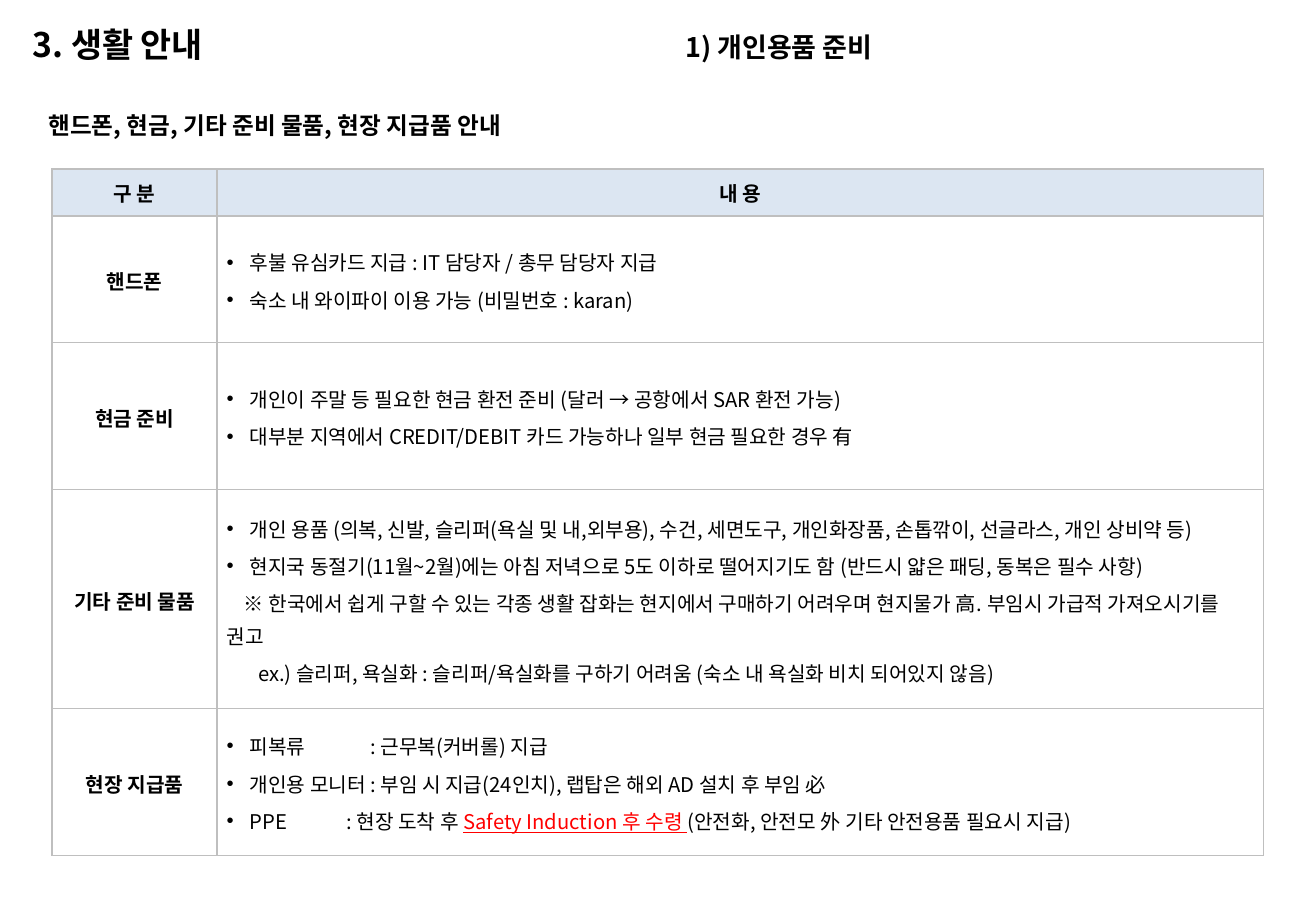
"""Build the slide on personal items to prepare for life on site."""
import pptx
import pptx.util
import pptx.enum.text
import pptx.oxml
import pptx.oxml.ns
import pptx.dml.color
from lxml import etree

Cm = pptx.util.Cm
Pt = pptx.util.Pt
qn = pptx.oxml.ns.qn
ALIGN = pptx.enum.text.PP_ALIGN
ANCHOR = pptx.enum.text.MSO_ANCHOR
FONT = "Noto Sans CJK KR"
COLORS = {"text": "000000", "alert": "FF0000", "head": "DCE6F2", "line": "BFBFBF"}


def style(par, size, bold):
    """Format every run of a paragraph."""
    for run in par.runs:
        run.font.size = Pt(size)
        run.font.bold = bold
        run.font.name = FONT
        run.font.color.rgb = pptx.dml.color.RGBColor.from_string(COLORS["text"])
        etree.SubElement(run.font._element, qn("a:ea"), typeface=FONT)


def border(cell):
    """Draw thin grey lines on all four sides of a cell."""
    props = cell._tc.get_or_add_tcPr()
    for spot, side in enumerate(("lnL", "lnR", "lnT", "lnB")):
        line = etree.Element(qn("a:" + side), w=str(Pt(1)))
        fill = etree.SubElement(line, qn("a:solidFill"))
        etree.SubElement(fill, qn("a:srgbClr"), val=COLORS["line"])
        props.insert(spot, line)


prs = pptx.Presentation()
prs.slide_width, prs.slide_height = Cm(27.51), Cm(19.05)
slide = prs.slides.add_slide(prs.slide_layouts[6])

titles = [
    ("핸드폰, 현금, 기타 준비 물품, 현장 지급품 안내", 14, 0.76, 1.95, 25.98, 2.03, 1.3, ANCHOR.TOP),
    ("3. 생활 안내", 20, 0.43, 0.32, 13.31, 1.19, 1.0, ANCHOR.MIDDLE),
    ("1) 개인용품 준비", 16, 14.08, 0.45, 12.67, 1.04, 1.0, ANCHOR.MIDDLE),
]
for text, size, left, top, width, height, space, anchor in titles:
    box = slide.shapes.add_textbox(Cm(left), Cm(top), Cm(width), Cm(height))
    frame = box.text_frame
    frame.word_wrap = True
    frame.vertical_anchor = anchor
    frame.margin_top = frame.margin_bottom = Cm(0.2 if anchor == ANCHOR.TOP else 0.13)
    frame.text = text
    frame.paragraphs[0].line_spacing = space
    style(frame.paragraphs[0], size, True)

BULLET = 0.48
rows = [
    ("구 분", 0.99, [("내 용", 0)]),
    ("핸드폰", 2.64, [
        ("후불 유심카드 지급 : IT 담당자 / 총무 담당자 지급", BULLET),
        ("숙소 내 와이파이 이용 가능 (비밀번호 : karan)", BULLET),
    ]),
    ("현금 준비", 3.08, [
        ("개인이 주말 등 필요한 현금 환전 준비 (달러 → 공항에서 SAR 환전 가능)", BULLET),
        ("대부분 지역에서 CREDIT/DEBIT 카드 가능하나 일부 현금 필요한 경우 有", BULLET),
    ]),
    ("기타 준비 물품", 4.57, [
        ("개인 용품 (의복, 신발, 슬리퍼(욕실 및 내,외부용), 수건, 세면도구, "
         "개인화장품, 손톱깎이, 선글라스, 개인 상비약 등)", BULLET),
        ("현지국 동절기(11월~2월)에는 아침 저녁으로 5도 이하로 떨어지기도 함 "
         "(반드시 얇은 패딩, 동복은 필수 사항)", BULLET),
        ("※ 한국에서 쉽게 구할 수 있는 각종 생활 잡화는 현지에서 구매하기 어려우며 "
         "현지물가 高. 부임시 가급적 가져오시기를 권고", 0.36),
        ("ex.) 슬리퍼, 욕실화 : 슬리퍼/욕실화를 구하기 어려움 "
         "(숙소 내 욕실화 비치 되어있지 않음)", 0.66),
    ]),
    ("현장 지급품", 3.08, [
        ("피복류\t: 근무복(커버롤) 지급", BULLET),
        ("개인용 모니터\t: 부임 시 지급(24인치), 랩탑은 해외 AD 설치 후 부임 必", BULLET),
        ("PPE\t: 현장 도착 후 |Safety Induction 후 수령 |"
         "(안전화, 안전모 外 기타 안전용품 필요시 지급)", BULLET),
    ]),
]

total = sum(height for label, height, lines in rows)
grid = slide.shapes.add_table(len(rows), 2, Cm(1.09), Cm(3.53), Cm(25.32), Cm(total)).table
grid.horz_banding = False
grid.columns[0].width, grid.columns[1].width = Cm(3.45), Cm(21.87)

for index, (label, height, lines) in enumerate(rows):
    grid.rows[index].height = Cm(height)
    head = index == 0
    for col, items in enumerate(([(label, 0)], lines)):
        cell = grid.cell(index, col)
        cell.vertical_anchor = ANCHOR.MIDDLE
        cell.margin_left = cell.margin_right = Cm(0.1 if head else 0.2)
        cell.margin_top = cell.margin_bottom = Cm(0.1)
        if head:
            cell.fill.solid()
            cell.fill.fore_color.rgb = pptx.dml.color.RGBColor.from_string(COLORS["head"])
        else:
            cell.fill.background()
        border(cell)
        cell.text_frame.text = "\n".join(text.split("|")[0] for text, indent in items)
        for par, (text, indent) in zip(cell.text_frame.paragraphs, items):
            for part in text.split("|")[1:]:
                par.add_run().text = part
            style(par, 12, head or col == 0)
            if len(par.runs) > 1:
                alert = par.runs[1].font
                alert.underline = True
                alert.color.rgb = pptx.dml.color.RGBColor.from_string(COLORS["alert"])
            if not head:
                par.line_spacing = 1.1
                par.space_after = Pt(3)
            if head or col == 0:
                par.alignment = ALIGN.CENTER
                continue
            props = par._p.get_or_add_pPr()
            props.set("marL", str(Cm(indent) if indent == BULLET else 0))
            props.set("indent", str(Cm(-indent if indent == BULLET else indent)))
            if indent == BULLET:
                etree.SubElement(props, qn("a:buFont"), typeface="Arial")
                etree.SubElement(props, qn("a:buChar"), char="•")
            if "\t" in text:
                tabs = etree.SubElement(props, qn("a:tabLst"))
                stop = 2.5 if text.startswith("PPE") else 3.0
                etree.SubElement(tabs, qn("a:tab"), pos=str(Cm(stop)), algn="l")

prs.save("out.pptx")
